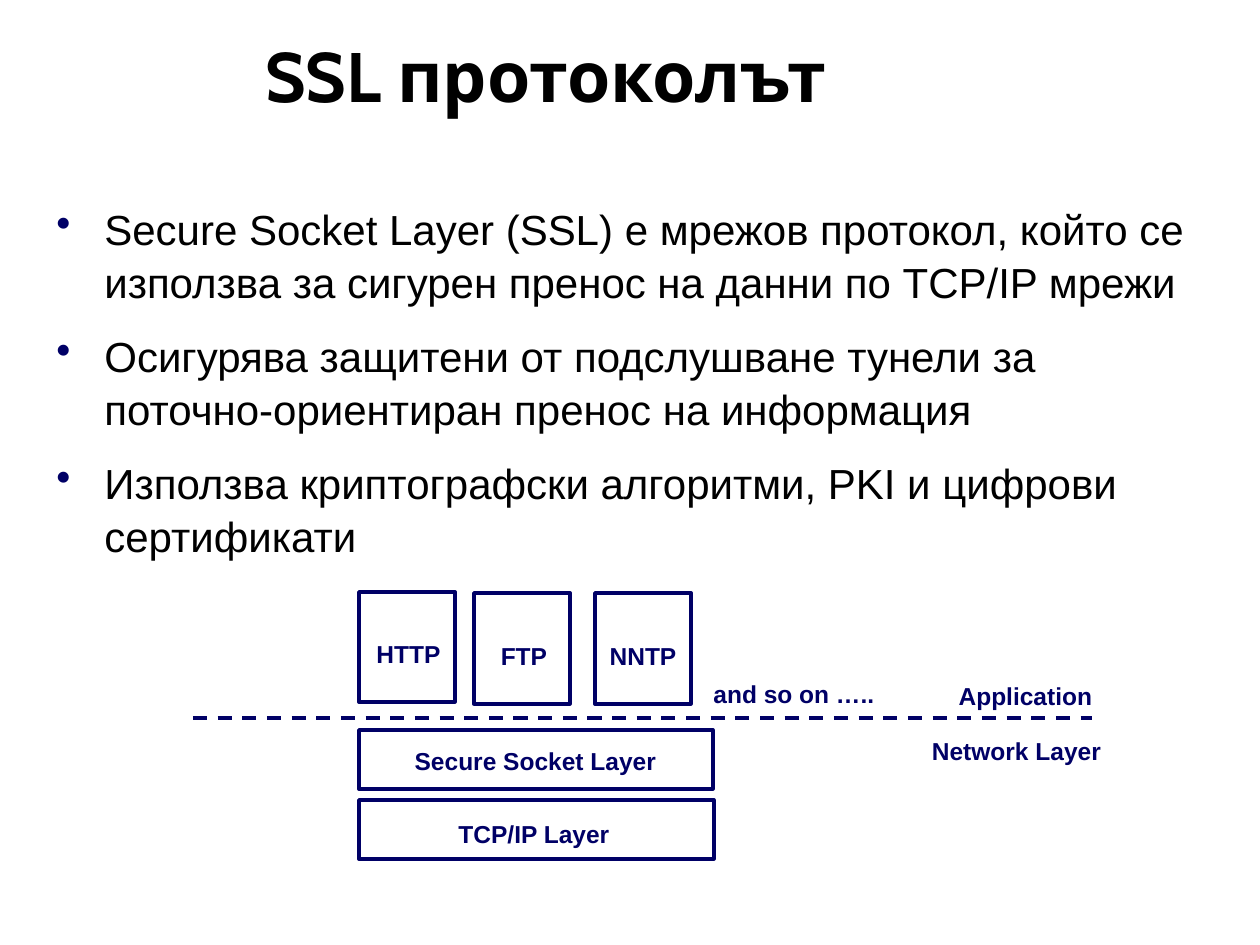
from pptx import Presentation
from pptx.dml.color import RGBColor
from pptx.enum import dml, shapes, text
from pptx.oxml import parse_xml
from pptx.oxml.ns import nsdecls, qn
from pptx.util import Emu, Pt

SCALE = 914400 / 126
BLACK, NAVY = "000000", "000066"


def px(n):
    return Emu(round(n * SCALE))


def color(code):
    return RGBColor.from_string(code)


def write(para, words, size=14, font="Arial", ink=NAVY, bold=False,
          align=None, space=None, gap=None):
    para.text = words
    para.alignment = align
    para.line_spacing = space
    if gap:
        para.space_before = Pt(gap)
    face = para.runs[0].font
    face.size, face.name, face.bold = Pt(size), font, bold
    face.color.rgb = color(ink)


class Deck:
    def __init__(self):
        self.prs = Presentation()
        self.prs.slide_width, self.prs.slide_height = px(1260), px(945)
        self.slide = self.prs.slides.add_slide(self.prs.slide_layouts[6])
        self.items = self.slide.shapes

    def frame(self, area, wrap=True):
        body = self.items.add_textbox(*map(px, area)).text_frame
        body.word_wrap = wrap
        return body

    def title(self, words, area):
        body = self.frame(area)
        body.vertical_anchor = text.MSO_ANCHOR.MIDDLE
        write(body.paragraphs[0], words, size=40, font="Cabin",
              ink=BLACK, bold=True, space=0.85)

    def bullets(self, lines, area, indent):
        body = self.frame(area)
        for i, line in enumerate(lines):
            para = body.add_paragraph() if i else body.paragraphs[0]
            props = para._p.get_or_add_pPr()
            props.set("marL", str(px(indent)))
            props.set("indent", str(-px(indent)))
            props.append(parse_xml(
                f'<a:buClr {nsdecls("a")}><a:srgbClr val="{NAVY}"/></a:buClr>'))
            props.append(parse_xml(f'<a:buChar {nsdecls("a")} char="•"/>'))
            write(para, line, size=24, ink=BLACK, space=1.05,
                  gap=12 if i else None)

    def box(self, area):
        rect = self.items.add_shape(shapes.MSO_SHAPE.RECTANGLE, *map(px, area))
        rect.shadow.inherit = False
        rect.fill.background()
        rect.line.color.rgb = color(NAVY)
        rect.line.width = Pt(2)

    def label(self, words, area):
        body = self.frame(area, wrap=False)
        write(body.paragraphs[0], words, bold=True, align=text.PP_ALIGN.CENTER)

    def dashes(self, left, right, y):
        line = self.items.add_connector(
            shapes.MSO_CONNECTOR.STRAIGHT, px(left), px(y), px(right), px(y))
        line.line.color.rgb = color(NAVY)
        line.line.width = Pt(2)
        line.line.dash_style = dml.MSO_LINE.DASH
        props = line._element.find(qn("p:spPr"))
        props.append(parse_xml(f'<a:effectLst {nsdecls("a")}/>'))


def main():
    deck = Deck()

    # Title and bullets
    deck.title("SSL протоколът", (253, 26, 973, 110))
    deck.bullets([
        "Secure Socket Layer (SSL) е мрежов протокол, който се използва "
        "за сигурен пренос на данни по TCP/IP мрежи",
        "Осигурява защитени от подслушване тунели за "
        "поточно-ориентиран пренос на информация",
        "Използва криптографски алгоритми, PKI и цифрови сертификати",
    ], (44, 195, 1171, 714), 48)

    # Protocol and layer boxes
    for area in [(359, 592, 96, 110), (474, 593, 96, 111), (595, 593, 96, 111),
                 (359, 730, 354, 59), (359, 800, 355, 59)]:
        deck.box(area)

    # Line between the application and network layers
    deck.dashes(193, 1092, 718)

    # Labels: left, top and width
    for words, left, top, width in [
        ("HTTP", 364, 633, 89),
        ("FTP", 488, 635, 72),
        ("NNTP", 597, 635, 92),
        ("and so on …..", 701, 673, 186),
        ("Application", 946, 675, 159),
        ("Network Layer", 919, 730, 195),
        ("Secure Socket Layer", 402, 740, 267),
        ("TCP/IP Layer", 445, 813, 178),
    ]:
        deck.label(words, (left, top, width, 42))

    deck.prs.save("out.pptx")


if __name__ == "__main__":
    main()
